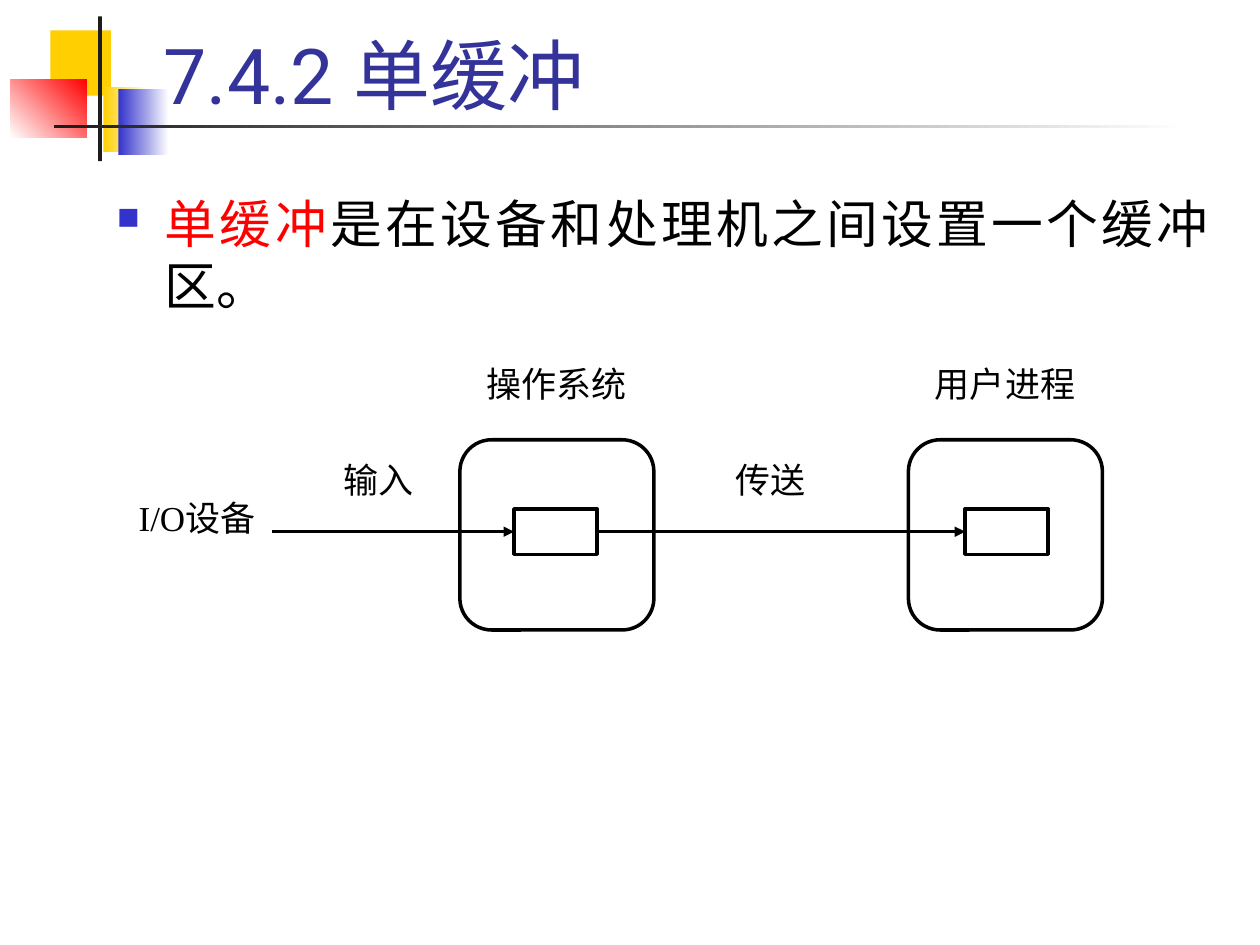
from pptx import Presentation
from pptx.dml.color import RGBColor
from pptx.enum.shapes import MSO_CONNECTOR, MSO_SHAPE
from pptx.enum.text import MSO_ANCHOR, PP_ALIGN
from pptx.oxml.ns import qn
from pptx.util import Inches, Pt
from lxml import etree

RECTANGLE = MSO_SHAPE.RECTANGLE
ROUNDED = MSO_SHAPE.ROUNDED_RECTANGLE
STRAIGHT = MSO_CONNECTOR.STRAIGHT
BOTTOM = MSO_ANCHOR.BOTTOM
JUSTIFY = PP_ALIGN.JUSTIFY

BLACK = RGBColor(0x00, 0x00, 0x00)
WHITE = RGBColor(0xFF, 0xFF, 0xFF)
RED = RGBColor(0xFF, 0x00, 0x00)
YELLOW = RGBColor(0xFF, 0xCF, 0x01)
BLUE = RGBColor(0x33, 0x33, 0xCC)
TITLE_BLUE = RGBColor(0x33, 0x33, 0x99)
CHARCOAL = RGBColor(0x1C, 0x1C, 0x1C)


def add_box(kind, left, top, width, height):
    """Add a white shape without line or shadow."""
    shape = slide.shapes.add_shape(
        kind, Inches(left), Inches(top), Inches(width), Inches(height))
    shape.shadow.inherit = False
    shape.fill.solid()
    shape.fill.fore_color.rgb = WHITE
    shape.line.fill.background()
    return shape


def add_text(left, top, width, height, runs, size, font_name):
    """Add a wrapping one-paragraph text box from (text, colour) pairs."""
    box = slide.shapes.add_textbox(
        Inches(left), Inches(top), Inches(width), Inches(height))
    box.text_frame.word_wrap = True
    paragraph = box.text_frame.paragraphs[0]
    for text, color in runs:
        run = paragraph.add_run()
        run.text = text
        run.font.size = Pt(size)
        run.font.name = font_name
        run.font.color.rgb = color
    return box


presentation = Presentation()
presentation.slide_width = Inches(10)
presentation.slide_height = Inches(7.5)
slide = presentation.slides.add_slide(presentation.slide_layouts[6])

# Corner decoration: place, start colour, end colour (None for solid), angle
decorations = [
    ((0.4, 0.24, 0.48, 0.52), YELLOW, None, 0),
    ((0.82, 0.69, 0.36, 0.52), YELLOW, WHITE, 0),
    ((0.94, 0.71, 0.4, 0.52), BLUE, WHITE, 0),
    ((0.08, 0.63, 0.61, 0.46), WHITE, RED, 45),
    ((0.78, 0.13, 0.03, 1.15), CHARCOAL, None, 0),
    ((0.43, 0.99, 9, 0.03), CHARCOAL, WHITE, 0),
]
for place, start, end, angle in decorations:
    decoration = add_box(RECTANGLE, *place)
    if end is None:
        decoration.fill.fore_color.rgb = start
    else:
        decoration.fill.gradient()
        decoration.fill.gradient_angle = angle
        for stop, color in zip(decoration.fill.gradient_stops, (start, end)):
            stop.color.rgb = color

title = add_text(1.2, 0.17, 8.52, 0.83, [("7.4.2 单缓冲", TITLE_BLUE)], 44, "Roboto")
title.text_frame.vertical_anchor = BOTTOM

body = add_text(
    0.83, 1.47, 8.92, 1.13,
    [("单缓冲", RED), ("是在设备和处理机之间设置一个缓冲区。", BLACK)],
    29.6, "Roboto")
body.text_frame.margin_right = Inches(0.15)
paragraph = body.text_frame.paragraphs[0]
paragraph.alignment = JUSTIFY
properties = paragraph._p.get_or_add_pPr()
properties.set("marL", str(Inches(0.38)))
properties.set("indent", str(-Inches(0.38)))
# Keep the full stop inside the text box
properties.set("hangingPunct", "0")
bullet_color = etree.SubElement(properties, qn("a:buClr"))
etree.SubElement(bullet_color, qn("a:srgbClr"), val=str(BLUE))
etree.SubElement(properties, qn("a:buSzPct"), val="60000")
etree.SubElement(properties, qn("a:buChar"), char="■")

# Each rounded space holds one buffer
buffers = []
for space_left, buffer_left in [(3.65, 4.08), (7.21, 7.66)]:
    space = add_box(ROUNDED, space_left, 3.49, 1.54, 1.51)
    space.adjustments[0] = 0.167
    buffer = add_box(RECTANGLE, buffer_left, 4.04, 0.66, 0.36)
    buffers.append(buffer)
    for shape in (space, buffer):
        shape.line.color.rgb = BLACK
        shape.line.width = Pt(2)

labels = [
    ("操作系统", 3.84, 2.83, 1.21),
    ("用户进程", 7.4, 2.83, 1.18),
    ("I/O设备", 1.08, 3.89, 1.09),
    ("输入", 2.71, 3.59, 0.82),
    ("传送", 5.82, 3.59, 0.81),
]
for text, left, top, width in labels:
    label = add_text(left, top, width, 0.55, [(text, BLACK)], 20, "Times New Roman")
    label.text_frame.margin_left = label.text_frame.margin_right = Inches(0.02)
    label.text_frame.paragraphs[0].alignment = JUSTIFY

system_buffer, user_buffer = buffers
for source, target in [(None, system_buffer), (system_buffer, user_buffer)]:
    arrow = slide.shapes.add_connector(
        STRAIGHT, Inches(2.16), Inches(4.22), Inches(4.08), Inches(4.22))
    if source is not None:
        arrow.begin_connect(source, 3)
    arrow.end_connect(target, 1)
    arrow.line.color.rgb = BLACK
    arrow.line.width = Pt(2)
    etree.SubElement(arrow.line._get_or_add_ln(), qn("a:tailEnd"), type="triangle")
    etree.SubElement(arrow._element.spPr, qn("a:effectLst"))

presentation.save("out.pptx")
